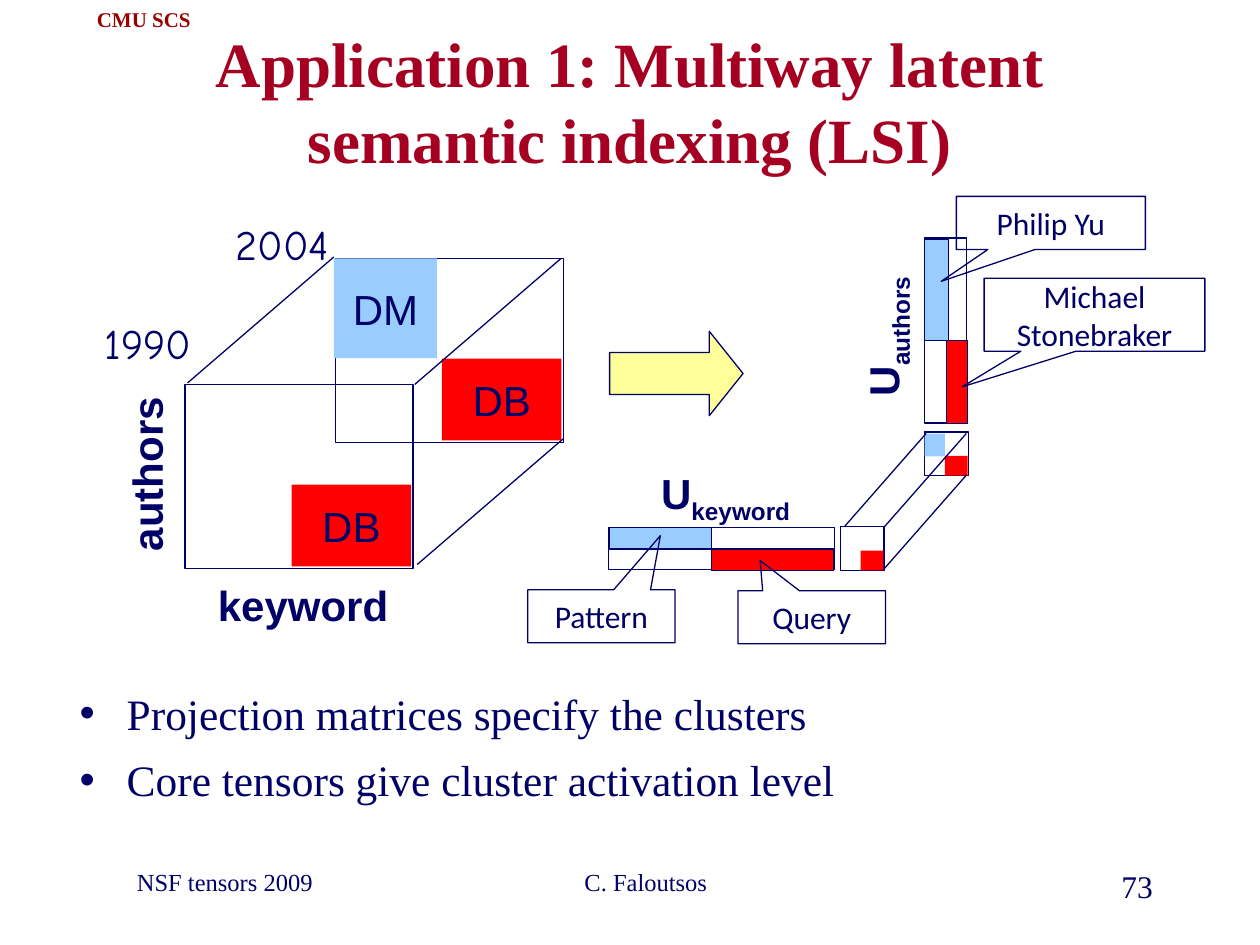
from lxml import etree
from pptx import Presentation
from pptx import util as u
from pptx.dml.color import RGBColor
from pptx.enum import shapes, text
from pptx.oxml.ns import qn

NAVY = RGBColor(0x00, 0x00, 0x66)
CRIMSON = RGBColor(0xA5, 0x00, 0x21)
DARK_RED = RGBColor(0x99, 0x00, 0x00)
RED = RGBColor(0xFF, 0x00, 0x00)
SKY = RGBColor(0x99, 0xCC, 0xFF)
CREAM = RGBColor(0xFF, 0xFF, 0x99)
SERIF, SANS, CALLOUT_FONT, HAND = "Times New Roman", "Arial", "Calibri", "Comic Neue"
CENTER = text.PP_ALIGN.CENTER
LINE_WIDTH = u.Pt(0.75)


def cm(*lengths):
    return [u.Cm(length) for length in lengths]


def style(paragraph, size, font, color=NAVY, bold=False, align=CENTER):
    paragraph.alignment = align
    paragraph.font.size = u.Pt(size)
    paragraph.font.name = font
    paragraph.font.color.rgb = color
    paragraph.font.bold = bold


def add_block(slide, box, fill=None, outlined=True, kind=shapes.MSO_SHAPE.RECTANGLE,
              words="", size=24, font=SANS):
    """Preset shape, optionally filled, outlined and labelled."""
    block = slide.shapes.add_shape(kind, *cm(*box))
    block.shadow.inherit = False
    if fill is None:
        block.fill.background()
    else:
        block.fill.solid()
        block.fill.fore_color.rgb = fill
    if outlined:
        block.line.color.rgb = NAVY
        block.line.width = LINE_WIDTH
    else:
        block.line.fill.background()
    if words:
        block.text_frame.text = words
        block.text_frame.vertical_anchor = text.MSO_ANCHOR.MIDDLE
        style(block.text_frame.paragraphs[0], size, font)
    return block


def add_callout(slide, words, box, tail):
    callout = add_block(slide, box, kind=shapes.MSO_SHAPE.RECTANGULAR_CALLOUT,
                        words=words, size=18, font=CALLOUT_FONT)
    callout.adjustments[0], callout.adjustments[1] = tail


def add_edge(slide, start, vector):
    (x, y), (dx, dy) = start, vector
    edge = slide.shapes.add_connector(shapes.MSO_CONNECTOR.STRAIGHT,
                                      *cm(x, y, x + dx, y + dy))
    edge.line.color.rgb = NAVY
    edge.line.width = LINE_WIDTH
    etree.SubElement(edge.element.spPr, qn("a:effectLst"))


def add_label(slide, words, box, size=24, font=SANS, color=NAVY, bold=True,
              align=CENTER, subscript="", rotation=0, wrap=False, inset=0.25):
    label = slide.shapes.add_textbox(*cm(*box))
    label.rotation = rotation
    frame = label.text_frame
    frame.word_wrap = wrap
    if not wrap:
        frame.auto_size = text.MSO_AUTO_SIZE.SHAPE_TO_FIT_TEXT
    frame.margin_left = u.Cm(inset)
    paragraph = frame.paragraphs[0]
    paragraph.add_run().text = words
    if subscript:
        lowered = paragraph.add_run()
        lowered.text = subscript
        lowered._r.get_or_add_rPr().set("baseline", "-25000")
    style(paragraph, size, font, color, bold, align)


def place(placeholder, box):
    placeholder.left, placeholder.top, placeholder.width, placeholder.height = cm(*box)
    placeholder.text_frame.auto_size = text.MSO_AUTO_SIZE.NONE


def add_title(slide):
    title = slide.shapes.title
    place(title, (1.9, 0.43, 21.59, 3.18))
    title.text_frame.text = "Application 1: Multiway latent semantic indexing (LSI)"
    title.text_frame.vertical_anchor = text.MSO_ANCHOR.MIDDLE
    style(title.text_frame.paragraphs[0], 36, SERIF, CRIMSON, True)


def add_bullets(slide, points):
    body = slide.placeholders[1]
    place(body, (1.35, 13.72, 22.86, 2.72))
    body.text_frame.text = "\n".join(points)
    for index, paragraph in enumerate(body.text_frame.paragraphs):
        properties = paragraph._p.get_or_add_pPr()
        properties.set("marL", str(u.Cm(0.95)))
        properties.set("indent", str(-u.Cm(0.95)))
        etree.SubElement(properties, qn("a:buChar"), char="•")
        paragraph.space_before = u.Pt(8 if index else 0)
        style(paragraph, 24.8, SERIF, align=text.PP_ALIGN.LEFT)


def add_data_cube(slide):
    # Back face (2004), then front face (1990)
    for x, y in ((6.76, 5.21), (3.73, 7.75)):
        add_block(slide, (x, y, 4.6, 3.71))
        add_block(slide, (x + 2.15, y + 2.02, 2.41, 1.65), RED, False, words="DB")
    add_block(slide, (6.73, 5.21, 2.08, 2.01), SKY, False, words="DM")
    for corner in ((3.78, 7.72), (8.36, 7.75), (8.41, 11.38)):
        add_edge(slide, corner, (2.95, -2.54))
    # Axis labels
    add_label(slide, "2004", (4.5, 4.29, 2.39, 1.27), font=HAND, bold=False)
    add_label(slide, "1990", (1.85, 6.27, 2.26, 1.27), font=HAND, bold=False)
    add_label(slide, "authors", (1.14, 8.92, 3.61, 1.27), rotation=270)
    add_label(slide, "keyword", (4.14, 11.56, 3.94, 1.27))


def add_core_tensor(slide):
    for x, y in ((18.64, 8.71), (16.94, 10.62)):
        add_block(slide, (x, y, 0.88, 0.88))
        add_block(slide, (x + 0.41, y + 0.48, 0.46, 0.4), RED, False)
    add_block(slide, (18.64, 8.74, 0.41, 0.46), SKY, False)
    for corner in ((17.83, 11.46), (17.83, 10.62), (17.02, 10.62)):
        add_edge(slide, corner, (1.65, -1.88))


def add_projection_matrices(slide):
    # Keyword matrix
    add_block(slide, (12.27, 10.64, 4.55, 0.84))
    add_block(slide, (14.35, 11.07, 2.46, 0.43), RED)
    add_block(slide, (12.29, 10.64, 2.06, 0.43), SKY)
    add_label(slide, "U", (12.93, 9.3, 3.4, 1.42), subscript="keyword")
    # Author matrix
    add_block(slide, (18.64, 4.8, 0.84, 3.73))
    add_block(slide, (19.08, 6.86, 0.43, 1.68), RED)
    add_block(slide, (18.64, 4.83, 0.48, 2.03), SKY)
    add_label(slide, "U", (16.41, 6.07, 2.92, 1.42), subscript="authors", rotation=270)
    # Cluster callouts
    add_callout(slide, "Michael Stonebraker", (19.84, 5.61, 4.45, 1.47), (-0.6, 0.99))
    add_callout(slide, "Query", (14.88, 11.91, 2.97, 1.07), (-0.35, -1.07))
    add_callout(slide, "Pattern", (10.64, 11.89, 2.97, 1.07), (0.4, -1.52))
    add_callout(slide, "Philip Yu", (19.28, 3.96, 3.81, 1.07), (-0.58, 1.1))


def add_footer(slide):
    for words, left, width, size, align in (
            ("NSF tensors 2009", 1.9, 5.28, 14, text.PP_ALIGN.LEFT),
            ("C. Faloutsos", 8.69, 8.05, 14, CENTER),
            ("73", 18.21, 5.28, 18, text.PP_ALIGN.RIGHT)):
        add_label(slide, words, (left, 17.35, width, 1.27), size, SERIF,
                  bold=False, align=align, wrap=True, inset=0.86)


def main():
    deck = Presentation()
    deck.slide_width, deck.slide_height = cm(25.4, 19.05)
    slide = deck.slides.add_slide(deck.slide_layouts[1])

    # Header and text
    add_label(slide, "CMU SCS", (1.55, 0, 2.7, 0.76), 12, SERIF, DARK_RED)
    add_title(slide)
    add_bullets(slide, ["Projection matrices specify the clusters",
                        "Core tensors give cluster activation level"])

    # Decomposition diagram
    add_data_cube(slide)
    arrow = add_block(slide, (12.29, 6.68, 2.69, 1.7), CREAM,
                      kind=shapes.MSO_SHAPE.RIGHT_ARROW)
    arrow.adjustments[1] = 0.4
    add_core_tensor(slide)
    add_projection_matrices(slide)

    add_footer(slide)
    deck.save("out.pptx")


if __name__ == "__main__":
    main()
